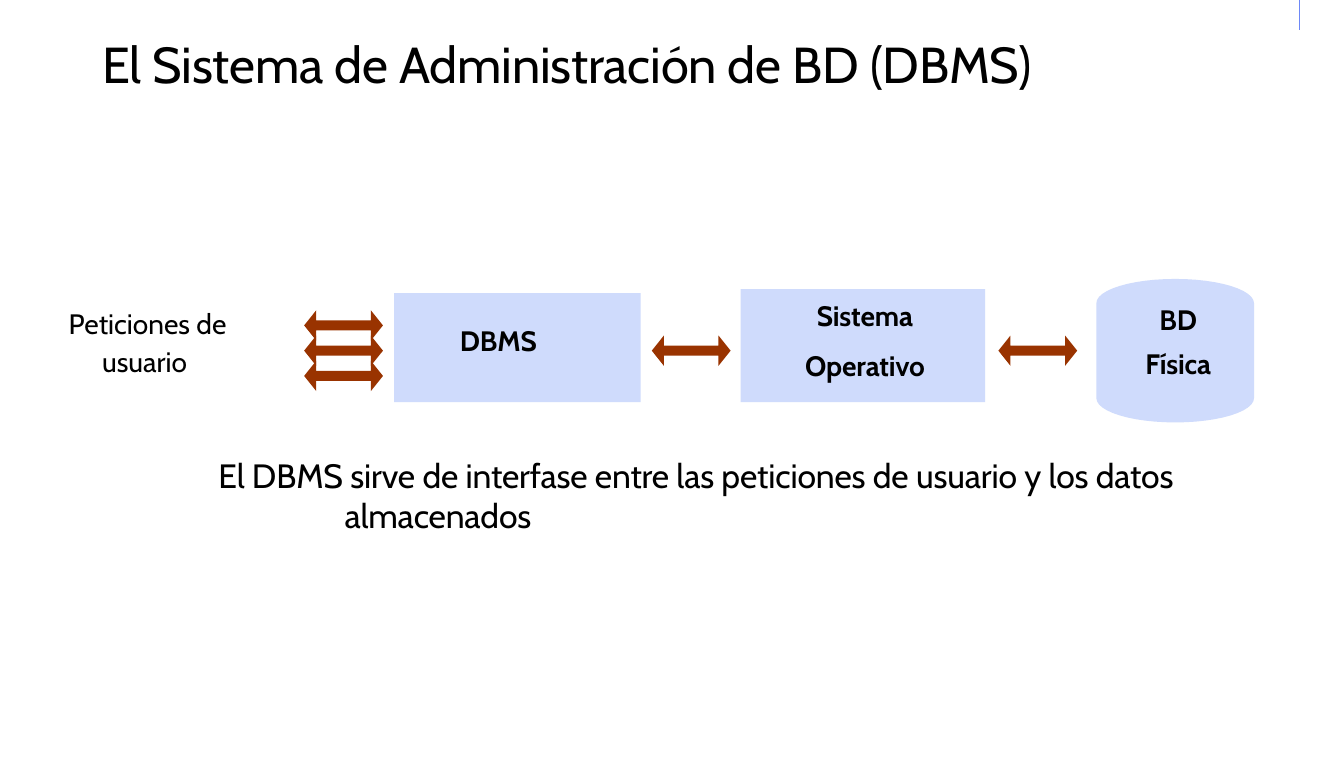
from math import cos, pi, sin

from lxml import etree
from pptx import Presentation
from pptx.dml.color import RGBColor
from pptx.enum.shapes import MSO_CONNECTOR, MSO_SHAPE
from pptx.enum.text import MSO_ANCHOR, PP_ALIGN
from pptx.oxml.ns import qn
from pptx.util import Pt

LEFT, CENTER = PP_ALIGN.LEFT, PP_ALIGN.CENTER
TOP = MSO_ANCHOR.TOP
RECTANGLE, DOUBLE_ARROW = MSO_SHAPE.RECTANGLE, MSO_SHAPE.LEFT_RIGHT_ARROW
STRAIGHT = MSO_CONNECTOR.STRAIGHT

SCALE = 9144  # EMU in one px, 100 px to the inch
PAGE_SIZE = (1330, 750)
BLACK, PALE_BLUE, BROWN, RULE_BLUE = "000000", "CFDBFC", "993300", "6E88F7"

TITLE = "El Sistema de Administración de BD (DBMS)"
TITLE_AREA = (100, 33, 1048, 61)
REQUEST_LINES = ["Peticiones de", "usuario"]
REQUEST_AREA = (67, 303, 217, 72)
CAPTION = ("El DBMS sirve de interfase entre las peticiones de usuario "
           "y los datos almacenados")
CAPTION_AREA = (215, 450, 971, 80)

# area, lines, insets (left, top, right, bottom), alignment, space before
BLOCKS = [
    ((390, 290, 244, 108), ["DBMS"], (65, 30, 0, 0), LEFT, 0),
    ((733, 286, 242, 112), ["Sistema", "Operativo"], (30, 9, 26, 0), CENTER, 12),
]
DISK = ((1085, 276, 156, 142), ["BD", "Física"], (27, 23, 21, 0), CENTER, 7.2)
DISK_CURVE = 24
ARC_STEPS = 24

ARROW_SIZE = (78, 30)
ARROW_HEAD, ARROW_SHAFT = 12, 10
ARROW_MIDDLE, ARROW_PITCH = 347, 25
ARROW_GROUPS = [(301, 3), (645, 1), (988, 1)]  # left, number of arrows
RULE_X, RULE_LENGTH = 1286, 30


def px(*lengths):
    return [round(length * SCALE) for length in lengths]


def color(value):
    return RGBColor.from_string(value)


def set_all(target, values):
    for name, value in values.items():
        setattr(target, name, value)


def fill_plain(shape, value):
    shape.shadow.inherit = False
    shape.fill.solid()
    shape.fill.fore_color.rgb = color(value)
    shape.line.fill.background()


def write(box, lines, size, bold=False, align=LEFT, insets=(0, 0, 0, 0),
          space_before=0, spacing=-10):
    """Fill the box with one paragraph a line; spacing is in 1/100 pt."""
    frame = box.text_frame
    margins = ("margin_left", "margin_top", "margin_right", "margin_bottom")
    set_all(frame, dict(zip(margins, px(*insets))))
    set_all(frame, {"word_wrap": True, "vertical_anchor": TOP})
    for index, line in enumerate(lines):
        para = frame.add_paragraph() if index else frame.paragraphs[0]
        para.alignment = align
        if index:
            para.space_before = Pt(space_before)
        span = para.add_run()
        span.text = line
        set_all(span.font, {"name": "Cabin", "size": Pt(size), "bold": bold})
        span.font.color.rgb = color(BLACK)
        span.font._element.set("spc", str(spacing))
    return frame.paragraphs


def indent(para, margin, first_line):
    properties = para._p.get_or_add_pPr()
    for name, value in zip(("marL", "indent"), px(margin, first_line)):
        properties.set(name, str(value))


def add_disk(page, left, top, width, height):
    """Draw a flat cylinder: two half ellipses joined by straight sides."""
    radius = width / 2
    points = []
    for step in range(2 * ARC_STEPS + 2):
        lower = step > ARC_STEPS
        angle = pi + pi * (step - lower) / ARC_STEPS
        center_y = top + (height - DISK_CURVE if lower else DISK_CURVE)
        points.append(px(left + radius + radius * cos(angle),
                         center_y + DISK_CURVE * sin(angle)))
        if step == ARC_STEPS:
            points.append(px(left + width, top + height - DISK_CURVE))
    builder = page.shapes.build_freeform(*points[0])
    builder.add_line_segments(points[1:], close=True)
    return builder.convert_to_shape()


def add_arrow(page, left, middle):
    width, height = ARROW_SIZE
    arrow = page.shapes.add_shape(
        DOUBLE_ARROW, *px(left, middle - height / 2, width, height))
    arrow.adjustments[0] = ARROW_SHAFT / height
    arrow.adjustments[1] = ARROW_HEAD / height
    fill_plain(arrow, BROWN)


def main():
    deck = Presentation()
    deck.slide_width, deck.slide_height = px(*PAGE_SIZE)
    page = deck.slides.add_slide(deck.slide_layouts[5])
    shapes = page.shapes

    title = shapes.title
    set_all(title, dict(zip(("left", "top", "width", "height"), px(*TITLE_AREA))))
    indent(write(title, [TITLE], 36, spacing=-15)[0], 1, 0)

    rule = shapes.add_connector(STRAIGHT, *px(RULE_X, 0, RULE_X, RULE_LENGTH))
    rule.line.color.rgb = color(RULE_BLUE)
    rule.line.width = Pt(0.8)
    etree.SubElement(rule._element.spPr, qn("a:effectLst"))

    blocks = [(shapes.add_shape(RECTANGLE, *px(*area)), *label)
              for area, *label in BLOCKS]
    blocks.append((add_disk(page, *DISK[0]), *DISK[1:]))
    for block, lines, insets, align, space_before in blocks:
        fill_plain(block, PALE_BLUE)
        write(block, lines, 20, True, align, insets, space_before)

    for left, count in ARROW_GROUPS:
        for index in range(count):
            offset = (index - (count - 1) / 2) * ARROW_PITCH
            add_arrow(page, left, ARROW_MIDDLE + offset)

    request = shapes.add_textbox(*px(*REQUEST_AREA))
    first, second = write(request, REQUEST_LINES, 20, space_before=3, spacing=0)
    indent(first, 1, 0)
    indent(second, 34, 0)

    caption = shapes.add_textbox(*px(*CAPTION_AREA))
    indent(write(caption, [CAPTION], 24)[0], 126, -125)

    deck.save("out.pptx")


if __name__ == "__main__":
    main()
